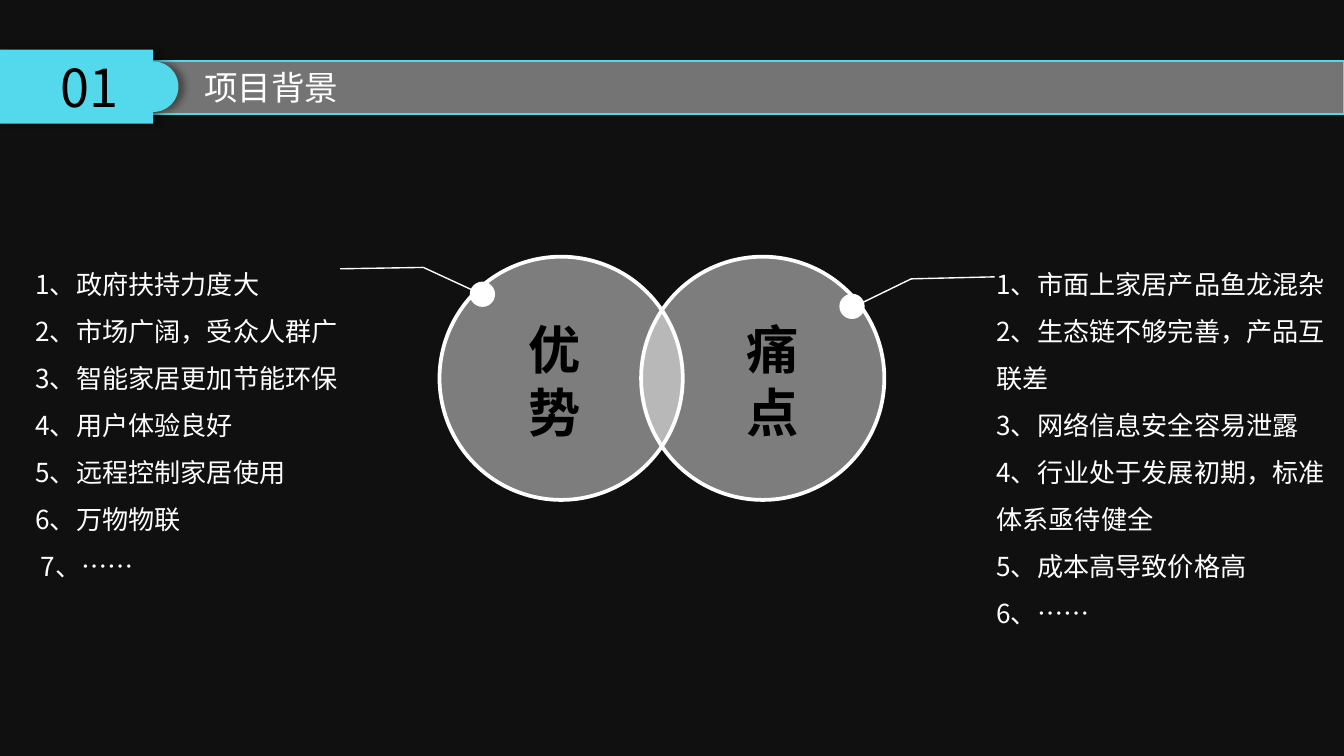
from itertools import pairwise
from math import cos, pi, sin

from lxml import etree
from pptx import Presentation
from pptx.dml.color import RGBColor
from pptx.enum.shapes import MSO_CONNECTOR, MSO_SHAPE
from pptx.enum.text import MSO_ANCHOR, MSO_AUTO_SIZE, PP_ALIGN
from pptx.oxml import parse_xml
from pptx.oxml.ns import nsdecls, qn
from pptx.util import Inches, Pt

RECT, OVAL = MSO_SHAPE.RECTANGLE, MSO_SHAPE.OVAL
STRAIGHT = MSO_CONNECTOR.STRAIGHT
LEFT, CENTER = PP_ALIGN.LEFT, PP_ALIGN.CENTER
MIDDLE = MSO_ANCHOR.MIDDLE
GROW = MSO_AUTO_SIZE.SHAPE_TO_FIT_TEXT

COLORS = {"back": "101010", "white": "FFFFFF", "accent": "53D9EB", "black": "000000"}
FONT, NUMBER_FONT = "Noto Sans CJK SC", "Noto Sans CJK JP"
WIDTH = Inches(10)
HEIGHT = WIDTH * 9 // 16
CELL = WIDTH / 100

ADVANTAGES = [
    "1、政府扶持力度大",
    "2、市场广阔，受众人群广",
    "3、智能家居更加节能环保",
    "4、用户体验良好",
    "5、远程控制家居使用",
    "6、万物物联",
    "7、……",
]
PAIN_POINTS = [
    "1、市面上家居产品鱼龙混杂",
    "2、生态链不够完善，产品互联差",
    "3、网络信息安全容易泄露",
    "4、行业处于发展初期，标准体系亟待健全",
    "5、成本高导致价格高",
    "6、……",
]


def grid(*cells):
    return [round(c * CELL) for c in cells]


def rgb(name):
    return RGBColor.from_string(COLORS[name])


def paint(sp, fill, alpha=None, line=None, width=2):
    sp.shadow.inherit = False
    sp.fill.solid()
    sp.fill.fore_color.rgb = rgb(fill)
    if alpha:
        color = sp._element.spPr.find(qn("a:solidFill"))[0]
        etree.SubElement(color, qn("a:alpha")).set("val", str(alpha * 1000))
    if line:
        sp.line.color.rgb = rgb(line)
        sp.line.width = Pt(width)
    else:
        sp.line.fill.background()


def add_shape(s, kind, at, **style):
    sp = s.shapes.add_shape(kind, *grid(*at))
    paint(sp, **style)


def write(tf, lines, size=14, color="white", font=FONT, bold=False, align=LEFT, spacing=None):
    for i, text in enumerate(lines):
        p = tf.paragraphs[0] if i == 0 else tf.add_paragraph()
        p.alignment = align
        if spacing:
            p.line_spacing = spacing
        r = p.add_run()
        r.text = text
        r.font.size, r.font.bold, r.font.name = Pt(size), bold, font
        r.font.color.rgb = rgb(color)
        etree.SubElement(r._r.get_or_add_rPr(), qn("a:ea")).set("typeface", font)


def add_text(s, at, lines, wrap=True, **style):
    tf = s.shapes.add_textbox(*grid(*at)).text_frame
    tf.word_wrap = wrap
    tf.auto_size = GROW
    write(tf, lines, **style)
    return tf


def add_leader(s, points):
    for start, end in pairwise(points):
        line = s.shapes.add_connector(STRAIGHT, *grid(*start, *end))
        line.line.color.rgb = rgb("white")
        line.line.width = Pt(0.75)
        etree.SubElement(line._element.spPr, qn("a:effectLst"))


def add_number_tab(s, text):
    top, bottom, edge, radius = 3.7, 9.2, 11.4, 1.88
    middle = (top + bottom) / 2
    angles = [pi * i / 40 - pi / 2 for i in range(41)]
    arc = [(edge + radius * cos(a), middle + radius * sin(a)) for a in angles]
    outline = [(edge, top), *arc, (edge, bottom), (0, bottom)]
    builder = s.shapes.build_freeform(*grid(0, top))
    builder.add_line_segments([grid(*point) for point in outline], close=True)
    sp = builder.convert_to_shape()
    paint(sp, "accent")
    effects = sp._element.spPr.find(qn("a:effectLst"))
    effects.append(parse_xml(
        f'<a:outerShdw {nsdecls("a")} blurRad="{Pt(4)}" dist="{Pt(3)}" dir="0">'
        f'<a:srgbClr val="{COLORS["black"]}"><a:alpha val="40000"/></a:srgbClr></a:outerShdw>'
    ))
    sp.text_frame.vertical_anchor = MIDDLE
    write(sp.text_frame, [text], size=28, color="black", font=NUMBER_FONT, align=CENTER)


def add_circle(s, left, label, label_left, label_width):
    add_shape(s, OVAL, (left, 19.1, 18.1, 18.1), fill="white", alpha=46, line="white")
    add_text(s, (label_left, 23.1, label_width, 10.4), [label],
             size=28, color="black", bold=True, align=CENTER)


def main():
    prs = Presentation()
    prs.slide_width, prs.slide_height = WIDTH, HEIGHT
    s = prs.slides.add_slide(prs.slide_layouts[6])
    s.background.fill.solid()
    s.background.fill.fore_color.rgb = rgb("back")

    add_shape(s, RECT, (0, 4.55, 100, 3.93), fill="white", alpha=42, line="accent", width=1)
    add_number_tab(s, "01")
    add_text(s, (14.2, 4.5, 12, 4), ["项目背景"], wrap=False, size=18)

    for left, top in ((35.1, 21.1), (62.6, 22)):
        add_shape(s, OVAL, (left, top, 1.6, 1.6), fill="white", line="white")
    add_text(s, (73.15, 18.3, 26.9, 29.3), PAIN_POINTS, spacing=1.5)
    tf = add_text(s, (1.65, 18.3, 25.6, 25.7), ADVANTAGES, spacing=1.5)
    tf.paragraphs[-1]._p.get_or_add_pPr().set("marL", str(Inches(0.04)))

    add_leader(s, [(35.4, 21.7), (31.5, 19.9), (25.3, 20)])
    add_leader(s, [(63.8, 22.7), (67.8, 20.75), (74, 20.6)])
    add_circle(s, 32.7, "优势", 37.5, 7.6)
    add_circle(s, 47.7, "痛点", 54, 7)
    prs.save("out.pptx")


if __name__ == "__main__":
    main()
